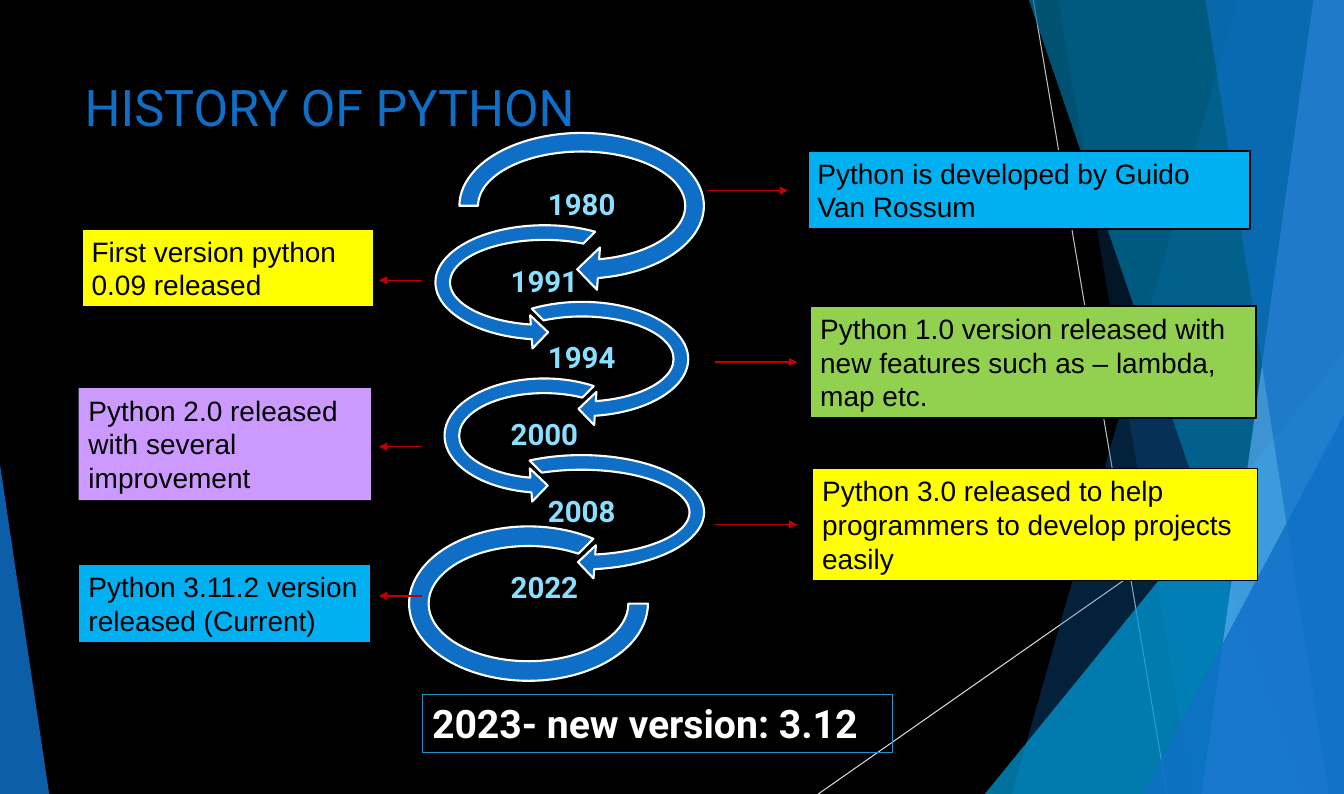
from dataclasses import dataclass
from typing import Optional

import lxml.etree
import pptx
import pptx.dml.color
import pptx.enum.dml
import pptx.enum.shapes
import pptx.enum.text
import pptx.oxml.ns
import pptx.util
from pptx.util import Cm, Pt

SHAPE = pptx.enum.shapes.MSO_SHAPE
ALIGN = pptx.enum.text.PP_ALIGN
ANCHOR = pptx.enum.text.MSO_ANCHOR
AUTO_SIZE = pptx.enum.text.MSO_AUTO_SIZE
WIDTH, HEIGHT = 33.87, 20


@dataclass(frozen=True)
class Theme:
    heading_font: str = "Roboto"
    body_font: str = "Arial"
    title_size: float = 36
    year_size: float = 21
    note_size: float = 20
    closing_size: float = 28
    black: str = "000000"
    white: str = "FFFFFF"
    blue: str = "0F6FC6"
    cyan: str = "009DD9"
    teal: str = "0076A3"
    pale_blue: str = "59AAF2"
    year: str = "8ADFFF"
    sky: str = "00B0F0"
    yellow: str = "FFFF00"
    green: str = "92D050"
    violet: str = "CC99FF"
    arrow: str = "C00000"
    frame: str = "2191C9"
    rays: tuple[str, str] = ("BFBFBF", "D9D9D9")


THEME = Theme()


@dataclass(frozen=True)
class Box:
    left: float
    top: float
    width: float
    height: float


@dataclass(frozen=True)
class Facet:
    color: str
    opacity: int
    top_x: float
    bottom_x: float


@dataclass(frozen=True)
class Corner:
    color: str
    opacity: int
    box: Box
    apex: float


@dataclass(frozen=True)
class Swirl:
    preset: int
    adjustments: tuple[float, ...]


@dataclass(frozen=True)
class Milestone:
    year: str
    swirl: Swirl
    swirl_box: Box
    note: str
    note_box: Box
    note_fill: str
    note_line: float
    arrow_start: float
    arrow_end: float
    arrow_y: float


FIRST = Swirl(SHAPE.CIRCULAR_ARROW, (0.11, 11.423, 45, 108, 0.125))
RIGHT = Swirl(SHAPE.CIRCULAR_ARROW, (0.11, 11.423, 45, 135, 0.125))
LEFT = Swirl(SHAPE.LEFT_CIRCULAR_ARROW, (0.11, 11.423, 63, 189, 0.125))
LAST = Swirl(SHAPE.BLOCK_ARC, (0, 189, 0.127))

DECORATION = [
    Facet(THEME.blue, 30, 31.19, 25.5),
    Facet(THEME.blue, 20, 26.67, 30.05),
    Corner(THEME.cyan, 72, Box(24.82, 8.89, 9.05, 11.11), 1),
    Facet(THEME.teal, 70, 25.93, 32.79),
    Facet(THEME.pale_blue, 70, 33.1, 30.28),
    Facet(THEME.blue, 65, 30.38, 33.48),
    Corner(THEME.blue, 80, Box(28.8, 10.46, 5.07, 9.54), 1),
    Corner(THEME.blue, 85, Box(0, 11.7, 1.24, 8.3), 0),
]

MILESTONES = [
    Milestone("1980", FIRST, Box(11.28, 3.05, 6.76, 4.27),
              "Python is developed by Guido Van Rossum",
              Box(20.35, 3.81, 11.15, 1.96), THEME.sky, 1.5, 17.81, 19.86, 4.8),
    Milestone("1991", LEFT, Box(10.74, 5.44, 5.97, 3.35),
              "First version python 0.09 released",
              Box(2.06, 5.77, 7.37, 1.96), THEME.yellow, 1.5, 10.64, 9.55, 7.06),
    Milestone("1994", RIGHT, Box(11.76, 7.37, 5.82, 3.35),
              "Python 1.0 version released with new features such as – lambda, map etc.",
              Box(20.42, 7.72, 11.23, 2.82), THEME.green, 1.5, 18.01, 20.09, 9.12),
    Milestone("2000", LEFT, Box(10.97, 9.3, 5.49, 3.35),
              "Python 2.0 released with several improvement",
              Box(1.98, 9.78, 7.37, 2.82), THEME.violet, 0, 10.64, 9.55, 11.25),
    Milestone("2008", RIGHT, Box(11.33, 11.23, 6.65, 3.35),
              "Python 3.0 released to help programmers to develop projects easily",
              Box(20.47, 11.81, 11.23, 2.82), THEME.yellow, 0.75, 18.01, 20.09, 13.21),
    Milestone("2022", LAST, Box(10.31, 13.26, 6.02, 3.89),
              "Python 3.11.2 version released (Current)",
              Box(1.98, 14.22, 7.37, 1.96), THEME.sky, 0.75, 10.64, 9.55, 15.01),
]


def rgb(color: str) -> pptx.dml.color.RGBColor:
    return pptx.dml.color.RGBColor.from_string(color)


def place(box: Box) -> tuple[int, int, int, int]:
    return Cm(box.left), Cm(box.top), Cm(box.width), Cm(box.height)


def write_text(frame, text: str, *, size: float, color: str, font: str = THEME.heading_font,
               bold: bool = False, align=ALIGN.LEFT, anchor=ANCHOR.TOP,
               auto_size=AUTO_SIZE.NONE, outline: Optional[str] = None):
    frame.word_wrap = True
    frame.auto_size = auto_size
    frame.vertical_anchor = anchor
    para = frame.paragraphs[0]
    para.alignment = align
    span = para.add_run()
    span.text = text
    span.font.name, span.font.size, span.font.bold = font, Pt(size), bold
    span.font.color.rgb = rgb(color)
    if outline:
        line = pptx.oxml.parse_xml(
            f'<a:ln {pptx.oxml.ns.nsdecls("a")} w="{Pt(1.75)}"><a:solidFill>'
            f'<a:srgbClr val="{outline}"/></a:solidFill></a:ln>')
        span.font._element.insert(0, line)
    return para


def paint(shape, fill: Optional[str], line: Optional[str] = None,
          line_width: float = 0, opacity: int = 100) -> None:
    shape.shadow.inherit = False
    if fill:
        shape.fill.solid()
        shape.fill.fore_color.rgb = rgb(fill)
    else:
        shape.fill.background()
    if opacity < 100:
        color = shape._element.spPr.find(".//" + pptx.oxml.ns.qn("a:srgbClr"))
        lxml.etree.SubElement(color, pptx.oxml.ns.qn("a:alpha"), val=str(opacity * 1000))
    if line and line_width:
        shape.line.color.rgb = rgb(line)
        shape.line.width = Pt(line_width)
    else:
        shape.line.fill.background()


def add_preset(page, preset: int, box: Box, adjustments: tuple[float, ...] = ()):
    shape = page.shapes.add_shape(preset, *place(box))
    for index, value in enumerate(adjustments):
        shape.adjustments[index] = value
    return shape


def add_line(page, start: tuple[float, float], end: tuple[float, float],
             color: str, width: float, arrow: bool = False) -> None:
    line = page.shapes.add_connector(pptx.enum.shapes.MSO_CONNECTOR.STRAIGHT,
                                     *map(Cm, start + end))
    line.line.color.rgb = rgb(color)
    line.line.width = Pt(width)
    if arrow:
        lxml.etree.SubElement(line.line._get_or_add_ln(), pptx.oxml.ns.qn("a:tailEnd"),
                              type="triangle")
    lxml.etree.SubElement(line._element.spPr, pptx.oxml.ns.qn("a:effectLst"))


def draw_decoration(page) -> None:
    add_line(page, (26.04, 0), (29.41, HEIGHT), THEME.rays[0], 0.75)
    add_line(page, (WIDTH, 10.74), (20.62, HEIGHT), THEME.rays[1], 0.75)
    for piece in DECORATION:
        if isinstance(piece, Facet):
            outline = page.shapes.build_freeform(Cm(piece.top_x), 0)
            corners = [(WIDTH, 0), (WIDTH, HEIGHT), (piece.bottom_x, HEIGHT)]
            outline.add_line_segments([(Cm(x), Cm(y)) for x, y in corners])
            shape = outline.convert_to_shape()
        else:
            shape = add_preset(page, SHAPE.ISOSCELES_TRIANGLE, piece.box, (piece.apex,))
        paint(shape, piece.color, opacity=piece.opacity)


def draw_milestone(page, milestone: Milestone, index: int) -> None:
    swirl = add_preset(page, milestone.swirl.preset, milestone.swirl_box,
                       milestone.swirl.adjustments)
    paint(swirl, THEME.blue, THEME.white, 1.5)
    label_box = Box((13.72, 12.78)[index % 2], 4.72 + 1.93 * index, 1.88, 0.94)
    frame = page.shapes.add_textbox(*place(label_box)).text_frame
    frame.margin_left = frame.margin_right = frame.margin_top = frame.margin_bottom = Cm(0.03)
    para = write_text(frame, milestone.year, size=THEME.year_size, color=THEME.year, bold=True,
                      align=ALIGN.CENTER, anchor=ANCHOR.MIDDLE, outline=THEME.cyan)
    para.line_spacing = 0.9
    note = add_preset(page, SHAPE.RECTANGLE, milestone.note_box)
    paint(note, milestone.note_fill, THEME.black, milestone.note_line)
    write_text(note.text_frame, milestone.note, size=THEME.note_size, color=THEME.black,
               font=THEME.body_font, auto_size=AUTO_SIZE.SHAPE_TO_FIT_TEXT)
    add_line(page, (milestone.arrow_start, milestone.arrow_y),
             (milestone.arrow_end, milestone.arrow_y), THEME.arrow, 1, arrow=True)


def main() -> None:
    deck = pptx.Presentation()
    deck.slide_width, deck.slide_height = Cm(WIDTH), Cm(HEIGHT)
    page = deck.slides.add_slide(deck.slide_layouts.get_by_name("Title Only"))
    page.background.fill.solid()
    page.background.fill.fore_color.rgb = rgb(THEME.black)
    draw_decoration(page)
    title = page.shapes.title
    title.left, title.top, title.width, title.height = place(Box(1.88, 1.78, 23.88, 3.86))
    write_text(title.text_frame, "HISTORY OF PYTHON", size=THEME.title_size, color=THEME.blue)
    for index, milestone in enumerate(MILESTONES):
        draw_milestone(page, milestone, index)
    closing = add_preset(page, SHAPE.RECTANGLE, Box(10.64, 17.5, 11.86, 1.45))
    paint(closing, None, THEME.frame, 0.75)
    write_text(closing.text_frame, "2023- new version: 3.12", size=THEME.closing_size,
               color=THEME.white, bold=True, auto_size=AUTO_SIZE.SHAPE_TO_FIT_TEXT)
    deck.save("out.pptx")


if __name__ == "__main__":
    main()
